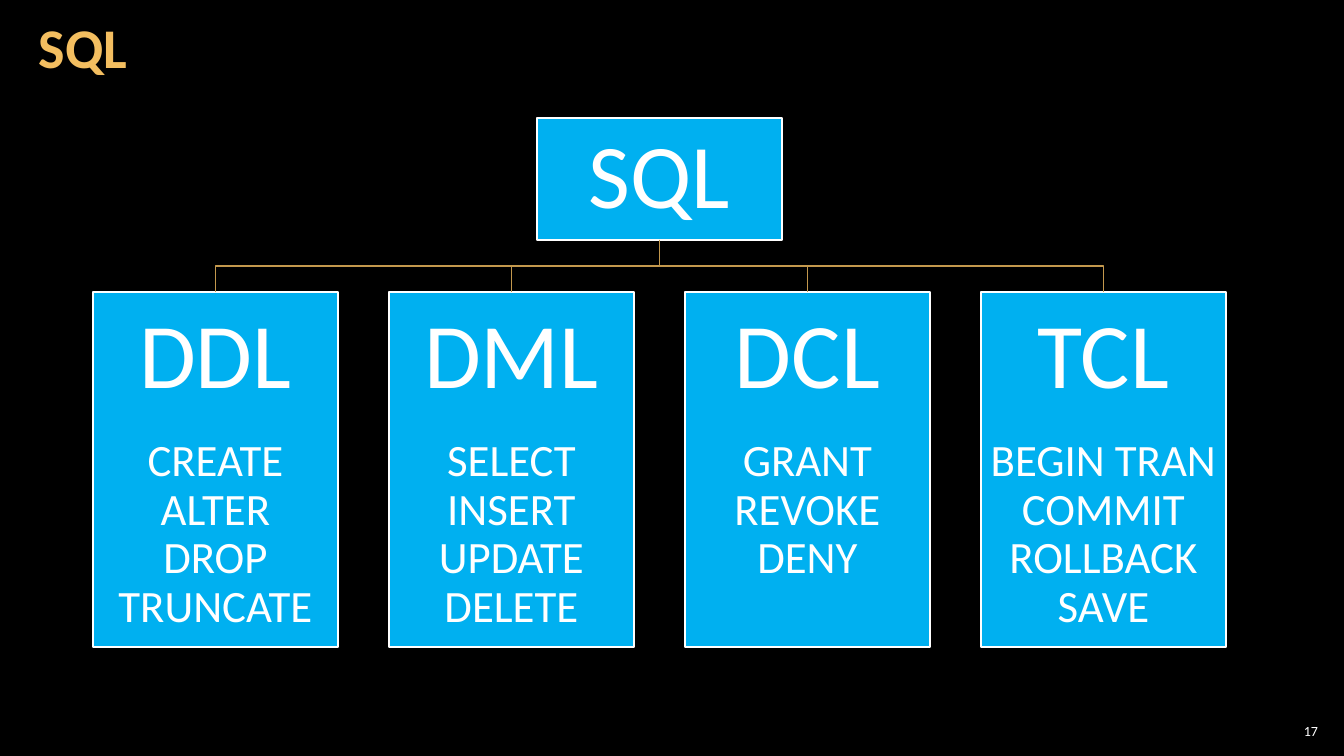
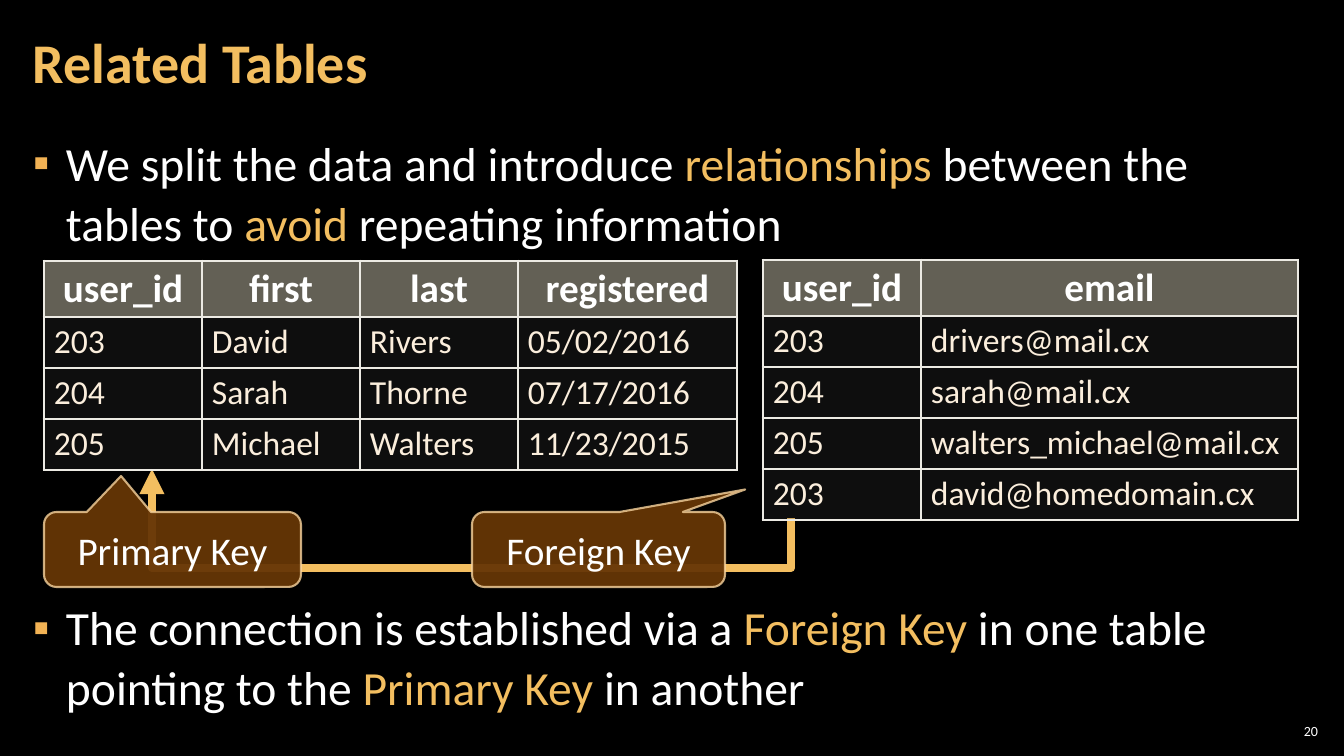
from lxml import etree
from pptx import Presentation
from pptx import util as u
from pptx.dml.color import RGBColor
from pptx.enum import shapes, text
from pptx.oxml.ns import qn

BLACK = RGBColor(0x00, 0x00, 0x00)
WHITE = RGBColor(0xFF, 0xFF, 0xFF)
GOLD = RGBColor(0xF3, 0xBE, 0x60)
AMBER = RGBColor(0xF2, 0xB2, 0x54)
OCHRE = RGBColor(0xC3, 0x98, 0x4D)
BLUE = RGBColor(0x00, 0xB0, 0xF0)
BROWN = RGBColor(0x66, 0x36, 0x06)
TAN = RGBColor(0xF8, 0xD4, 0x9E)
CREAM = RGBColor(0xFB, 0xEE, 0xDC)
RULE = RGBColor(0xEC, 0xEA, 0xE3)
HEAD = RGBColor(0xC6, 0xC0, 0xAA)
CELL = RGBColor(0x46, 0x48, 0x48)

FONT = "Calibri"
SCALE = 914400 / 100.8
LEFT, MID, RIGHT = text.PP_ALIGN.LEFT, text.PP_ALIGN.CENTER, text.PP_ALIGN.RIGHT
TOP, CENTRE = text.MSO_ANCHOR.TOP, text.MSO_ANCHOR.MIDDLE


def px(n):
    return u.Emu(round(n * SCALE))


def sub(parent, tag, **attrs):
    node = etree.SubElement(parent, qn(tag))
    for key, val in attrs.items():
        node.set(key, str(val))
    return node


def put(para, words, size, color=WHITE, bold=False, align=LEFT, line=1.0,
        before=0, after=0):
    """Fill a paragraph; words between asterisks turn gold."""
    para.alignment, para.line_spacing = align, line
    para.space_before, para.space_after = u.Pt(before), u.Pt(after)
    for i, part in enumerate(words.split("*")):
        if part:
            run = para.add_run()
            run.text = part
            font = run.font
            font.name, font.size, font.bold = FONT, u.Pt(size), bold
            font.color.rgb = GOLD if i % 2 else color


def frame(box, side, edge, anchor=CENTRE, wrap=True):
    """Set the insets of a shape's text and return its text frame."""
    tf = box.text_frame
    tf.auto_size = text.MSO_AUTO_SIZE.NONE
    tf.word_wrap, tf.vertical_anchor = wrap, anchor
    tf.margin_left = tf.margin_right = px(side)
    tf.margin_top = tf.margin_bottom = px(edge)
    return tf


def place(box, x, y, w, h):
    box.left, box.top, box.width, box.height = px(x), px(y), px(w), px(h)


def fade(holder, percent):
    for clr in holder.iter(qn("a:srgbClr")):
        sub(clr, "a:alpha", val=percent * 1000)


def start(prs, kind, title, number, x, y):
    """Add a slide with its title and page number."""
    slide = prs.slides.add_slide(prs.slide_layouts[kind])
    head = slide.shapes.title
    place(head, x, y, 1055, 122)
    put(frame(head, 12, 4).paragraphs[0], title, 40, GOLD, bold=True, line=0.9)
    page = slide.shapes.add_textbox(px(1275), px(720), px(47), px(21))
    put(frame(page, 4, 4).paragraphs[0], number, 10, align=RIGHT)
    return slide


def block(slide, kind, x, y, w, h, fill, edge, width):
    box = slide.shapes.add_shape(kind, px(x), px(y), px(w), px(h))
    box.shadow.inherit = False
    box.fill.solid()
    box.fill.fore_color.rgb = fill
    box.line.color.rgb, box.line.width = edge, u.Pt(width)
    return box


def elbow(slide, x1, y1, x2, y2, color, width, bend=None, ends=None):
    """Draw a bent connector that leaves and arrives vertically."""
    link = slide.shapes.add_connector(shapes.MSO_CONNECTOR.ELBOW, 0, 0, 0, 0)
    if ends:
        link.begin_connect(ends[0], 2)
        link.end_connect(ends[1], 0)
    w, h = abs(y2 - y1), abs(x2 - x1)
    place(link, (x1 + x2 - w) / 2, (y1 + y2 - h) / 2, w, h)
    props = link._element.spPr
    xfrm = props.find(qn("a:xfrm"))
    xfrm.set("rot", "5400000")
    xfrm.set("flipH", str(int(y2 < y1)))
    xfrm.set("flipV", str(int(x2 > x1)))
    if bend is not None:
        guides = props.find(qn("a:prstGeom")).get_or_add_avLst()
        ratio = round((bend - y1) / (y2 - y1) * 100000)
        sub(guides, "a:gd", name="adj1", fmla=f"val {ratio}")
    link.line.color.rgb, link.line.width = color, u.Pt(width)
    sub(props, "a:effectLst")
    return link


def tree(slide, x, y, root, groups):
    """Draw a root box above a row of equally spaced boxes."""
    w, step, tall, drop = 245, 296, 122, 52
    rect = shapes.MSO_SHAPE.RECTANGLE
    mid = x + (step * (len(groups) - 1) + w) / 2
    top = block(slide, rect, mid - w / 2, y, w, tall, BLUE, WHITE, 1)
    put(frame(top, 5, 5).paragraphs[0], root, 65, align=MID, line=0.9)
    low = y + tall + drop
    for i, (name, words) in enumerate(groups):
        left = x + i * step
        box = block(slide, rect, left, low, w, 355, BLUE, WHITE, 1)
        tf = frame(box, 5, 17, TOP)
        put(tf.paragraphs[0], name, 66, align=MID, line=0.9, after=21)
        for word in words:
            put(tf.add_paragraph(), word, 32, align=MID, line=0.9)
        elbow(slide, mid, y + tall, left + w / 2, low, OCHRE, 1,
              ends=(top, box))


def bullets(box, items, gap):
    """Write bulleted paragraphs, set apart by a gap in points."""
    tf = frame(box, 12, 4, TOP)
    for i, words in enumerate(items):
        para = tf.add_paragraph() if i else tf.paragraphs[0]
        props = para._p.get_or_add_pPr()
        props.set("marL", str(px(33)))
        props.set("indent", str(-px(33)))
        sub(sub(props, "a:buClr"), "a:srgbClr", val=AMBER)
        sub(props, "a:buFont", typeface="Arial")
        sub(props, "a:buChar", char="▪")
        put(para, words, 34, line=1.05, before=gap if i else 0, after=6)


def grid(slide, x, y, cols, rows):
    """Draw a ruled table whose first row is the header."""
    head, tall = 56, 51
    shape = slide.shapes.add_table(
        len(rows), len(cols), px(x), px(y), px(sum(cols)),
        px(head + tall * (len(rows) - 1)))
    table = shape.table
    table.horz_banding = False
    for col, w in zip(table.columns, cols):
        col.width = px(w)
    for r, row in enumerate(rows):
        table.rows[r].height = px(tall if r else head)
        for c, words in enumerate(row):
            cell = table.cell(r, c)
            cell.margin_left = cell.margin_right = px(10)
            cell.margin_top = cell.margin_bottom = px(5)
            cell.vertical_anchor = CENTRE
            props = cell._tc.get_or_add_tcPr()
            for side in "LRTB":
                edge = sub(props, f"a:ln{side}", w=u.Pt(2.25))
                sub(sub(edge, "a:solidFill"), "a:srgbClr", val=RULE)
            cell.fill.solid()
            cell.fill.fore_color.rgb = CELL if r else HEAD
            fade(props.find(qn("a:solidFill")), 20 if r else 50)
            para = cell.text_frame.paragraphs[0]
            if r:
                put(para, words, 24, CREAM)
            else:
                put(para, words, 28, bold=True, align=MID, line=0.95)


def callout(slide, x, y, w, words, tip):
    box = block(slide, shapes.MSO_SHAPE.ROUNDED_RECTANGULAR_CALLOUT,
                x, y, w, 75, BROWN, TAN, 1.5)
    box.adjustments[0], box.adjustments[1] = tip
    props = box._element.spPr
    fade(props.find(qn("a:solidFill")), 95)
    fade(props.find(qn("a:ln")), 80)
    put(frame(box, 30, 10, wrap=False).paragraphs[0], words, 28, align=MID)


def sql(prs):
    slide = start(prs, 5, "SQL", "17", 27, -11)
    tree(slide, 93, 118, "SQL", [
        ("DDL", ["CREATE", "ALTER", "DROP", "TRUNCATE"]),
        ("DML", ["SELECT", "INSERT", "UPDATE", "DELETE"]),
        ("DCL", ["GRANT", "REVOKE", "DENY"]),
        ("TCL", ["BEGIN TRAN", "COMMIT", "ROLLBACK", "SAVE"])])


def related(prs):
    slide = start(prs, 1, "Related Tables", "20", 21, 4)
    body = slide.placeholders[1]
    place(body, 21, 127, 1301, 614)
    bullets(body, [
        "We split the data and introduce *relationships* between the tables "
        "to *avoid* repeating information",
        "The connection is established via a *Foreign Key *in one table "
        "pointing to the *Primary Key *in another"], 240)
    link = elbow(slide, 791, 518, 152, 469, GOLD, 6, bend=568)
    sub(link.line._get_or_add_ln(), "a:tailEnd", type="triangle")
    grid(slide, 44, 261, [158, 158, 158, 219], [
        ["user_id", "first", "last", "registered"],
        ["203", "David", "Rivers", "05/02/2016"],
        ["204", "Sarah", "Thorne", "07/17/2016"],
        ["205", "Michael", "Walters", "11/23/2015"]])
    grid(slide, 763, 260, [158, 377], [
        ["user_id", "email"],
        ["203", "drivers@mail.cx"],
        ["204", "sarah@mail.cx"],
        ["205", "walters_michael@mail.cx"],
        ["203", "david@homedomain.cx"]])
    callout(slide, 44, 512, 257, "Primary Key", (-0.2, -0.98))
    callout(slide, 472, 512, 253, "Foreign Key", (0.58, -0.8))


def main():
    prs = Presentation()
    prs.slide_width, prs.slide_height = px(1344), px(756)
    back = prs.slide_master.background.fill
    back.solid()
    back.fore_color.rgb = BLACK
    sql(prs)
    related(prs)
    prs.save("out.pptx")


if __name__ == "__main__":
    main()
